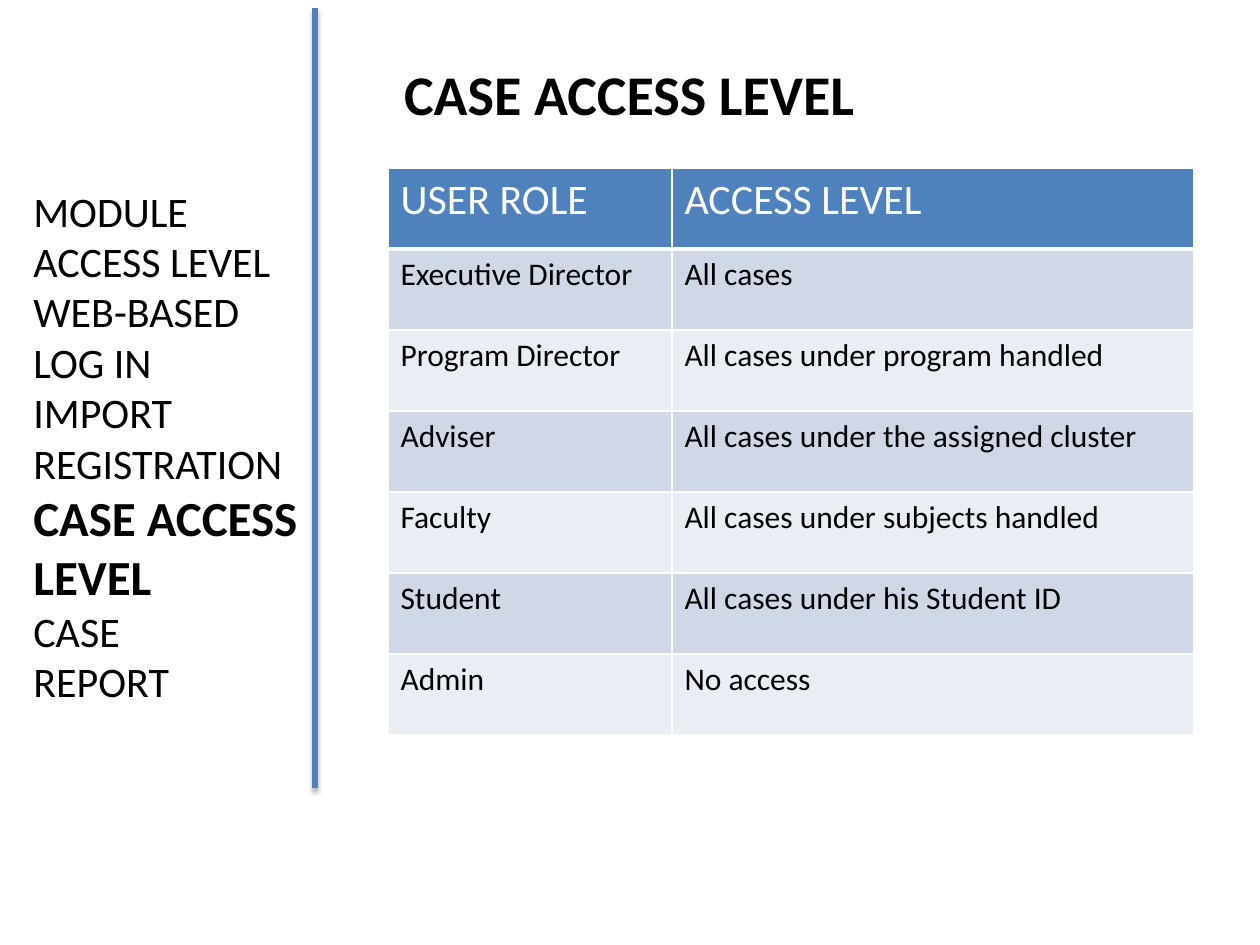
from lxml import etree
from pptx import Presentation
from pptx.dml.color import RGBColor
from pptx.enum.shapes import MSO_CONNECTOR
from pptx.enum.text import MSO_AUTO_SIZE, PP_ALIGN
from pptx.oxml.ns import qn
from pptx.util import Emu, Pt

PIXEL = 914400 // 126
FONT = "Calibri"
BLACK = RGBColor(0x00, 0x00, 0x00)
WHITE = RGBColor(0xFF, 0xFF, 0xFF)
BLUE = RGBColor(0x4F, 0x81, 0xBD)
BANDS = [RGBColor(0xD0, 0xD8, 0xE8), RGBColor(0xE9, 0xED, 0xF4)]

TITLE = "CASE ACCESS LEVEL"
MENU = ["MODULE ACCESS LEVEL", "WEB-BASED", "LOG IN", "IMPORT",
        "REGISTRATION", "CASE ACCESS LEVEL", "CASE", "REPORT"]
ACCESS = [
    ("USER ROLE", "ACCESS LEVEL"),
    ("Executive Director", "All cases"),
    ("Program Director", "All cases under program handled"),
    ("Adviser", "All cases under the assigned cluster"),
    ("Faculty", "All cases under subjects handled"),
    ("Student", "All cases under his Student ID"),
    ("Admin", "No access"),
]
COLUMN_WIDTHS = [284, 522]
ROW_HEIGHT = 81


def px(*values):
    return [Emu(value * PIXEL) for value in values]


def write(paragraph, text, size, color=BLACK, bold=False):
    run = paragraph.add_run()
    run.text = text
    run.font.name = FONT
    run.font.size = Pt(size)
    run.font.bold = bold
    run.font.color.rgb = color


def add_text(slide, box, lines, align=PP_ALIGN.LEFT):
    frame = slide.shapes.add_textbox(*px(*box)).text_frame
    frame.word_wrap = True
    frame.auto_size = MSO_AUTO_SIZE.SHAPE_TO_FIT_TEXT
    for i, (text, size, bold) in enumerate(lines):
        paragraph = frame.add_paragraph() if i else frame.paragraphs[0]
        paragraph.alignment = align
        write(paragraph, text, size, bold=bold)


def add_borders(cell, bottom):
    properties = cell._tc.get_or_add_tcPr()
    for side, width in (("L", 1), ("R", 1), ("T", 1), ("B", bottom)):
        line = etree.SubElement(properties, qn("a:ln" + side), w=str(Pt(width)))
        fill = etree.SubElement(line, qn("a:solidFill"))
        etree.SubElement(fill, qn("a:srgbClr"), val=str(WHITE))


def add_access_table(slide, left, top):
    box = px(left, top, sum(COLUMN_WIDTHS), ROW_HEIGHT * len(ACCESS))
    table = slide.shapes.add_table(len(ACCESS), len(COLUMN_WIDTHS), *box).table
    for column, width in zip(table.columns, px(*COLUMN_WIDTHS)):
        column.width = width
    for r, row in enumerate(ACCESS):
        table.rows[r].height = Emu(ROW_HEIGHT * PIXEL)
        for c, text in enumerate(row):
            cell = table.cell(r, c)
            header = r == 0
            add_borders(cell, 3 if header else 1)
            cell.fill.solid()
            cell.fill.fore_color.rgb = BLUE if header else BANDS[(r - 1) % 2]
            write(cell.text_frame.paragraphs[0], text,
                  24 if header else 18, WHITE if header else BLACK)


def add_divider(slide, x, top, bottom):
    line = slide.shapes.add_connector(MSO_CONNECTOR.STRAIGHT, *px(x, top, x, bottom))
    line.line.color.rgb = BLUE
    line.line.width = Pt(3)
    effects = etree.SubElement(line._element.spPr, qn("a:effectLst"))
    shadow = etree.SubElement(effects, qn("a:outerShdw"), blurRad=str(Pt(3.1)),
                              dist=str(Pt(1.8)), dir="5400000", rotWithShape="0")
    color = etree.SubElement(shadow, qn("a:srgbClr"), val=str(BLACK))
    etree.SubElement(color, qn("a:alpha"), val="35000")


deck = Presentation()
deck.slide_width, deck.slide_height = px(1260, 945)
slide = deck.slides.add_slide(deck.slide_layouts[6])

add_text(slide, (249, 53, 761, 81), [(TITLE, 32, True)], PP_ALIGN.CENTER)
add_access_table(slide, 388, 168)
add_divider(slide, 315, 8, 788)
menu_lines = [(item, 28 if item == TITLE else 24, item == TITLE) for item in MENU]
add_text(slide, (21, 179, 305, 581), menu_lines)

deck.save("out.pptx")
